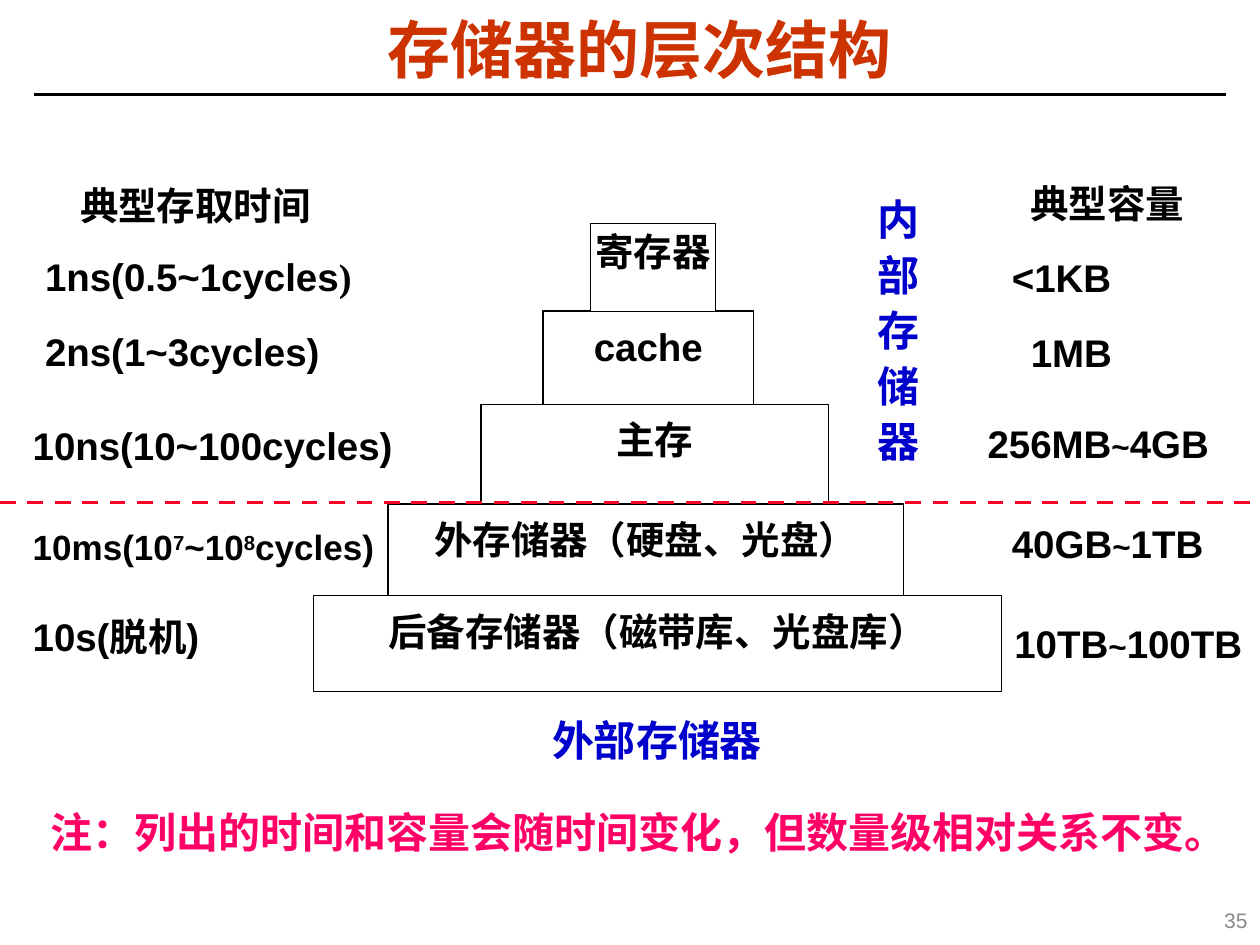
from lxml.etree import SubElement
from pptx import Presentation
from pptx.dml.color import RGBColor
from pptx.enum.dml import MSO_LINE
from pptx.enum.shapes import MSO_CONNECTOR, MSO_SHAPE
from pptx.enum.text import MSO_ANCHOR, PP_ALIGN
from pptx.oxml.ns import qn
from pptx.util import Cm, Pt

BLACK = RGBColor(0x00, 0x00, 0x00)
WHITE = RGBColor(0xFF, 0xFF, 0xFF)
BRICK = RGBColor(0xCC, 0x33, 0x00)
BLUE = RGBColor(0x00, 0x00, 0xCC)
RED = RGBColor(0xFC, 0x01, 0x28)
PINK = RGBColor(0xFF, 0x00, 0x66)
GRAY = RGBColor(0x89, 0x89, 0x89)

SERIF = "Times New Roman"
PAD = (0.33, 0.15)
SIDE = (0.33, 0)
NONE = (0, 0)
ROW = 1.8  # height of a label
TILDE = ("~", {"size": 18})
UP = {"base": 30000}

# left, top, width, height, text, padding
LEVELS = [
    (10.95, 6.27, 4.24, 1.93, "cache", PAD),
    (9.7, 8.15, 7.01, 2.01, "主存", PAD),
    (7.82, 10.16, 10.39, 1.93, "外存储器（硬盘、光盘）", PAD),
    (6.32, 12.01, 13.87, 1.93, "后备存储器（磁带库、光盘库）", PAD),
    (11.91, 4.5, 2.51, 1.78, "寄存器", NONE),
]

# left, top, width, runs, size, padding
LABELS = [
    (20.07, 5.03, 4.24, ["<1KB"], 22, SIDE),
    (20.45, 6.55, 4.24, ["1MB"], 22, SIDE),
    (19.58, 8.38, 5.21, ["256MB", TILDE, "4GB"], 22, SIDE),
    (20.07, 10.39, 5.33, ["40GB", TILDE, "1TB"], 22, SIDE),
    (20.45, 12.4, 4.88, ["10TB", TILDE, "100TB"], 22, NONE),
    (0.58, 5, 7.24, ["1ns(0.5~1cycles", (")", {"name": SERIF})], 22, SIDE),
    (0.58, 6.53, 8.64, ["2ns(1~3cycles)"], 22, SIDE),
    (0.33, 8.41, 8.13, ["10ns(10~100cycles)"], 22, SIDE),
    (0.33, 10.52, 8.51,
     ["10ms(10", ("7", UP), "~10", ("8", UP), "cycles)"], 20, SIDE),
    (0.33, 12.27, 5.26, ["10s(脱机)"], 22, SIDE),
]


def style(font, size, color, bold, name="Arial", base=None):
    font.size, font.bold, font.name = Pt(size), bold, name
    font.color.rgb = color
    if base:
        font._element.set("baseline", str(base))


def write(shape, runs, size=22, color=BLACK, bold=True, name="Arial",
          pad=SIDE, align=PP_ALIGN.CENTER, space=1.1, anchor=MSO_ANCHOR.TOP):
    """Fill a shape with one paragraph; a run is a string or (string, changes)."""
    frame = shape.text_frame
    frame.word_wrap = True
    frame.vertical_anchor = anchor
    frame.margin_left = frame.margin_right = Cm(pad[0])
    frame.margin_top = frame.margin_bottom = Cm(pad[1])
    para = frame.paragraphs[0]
    para.alignment, para.line_spacing = align, space
    look = {"size": size, "color": color, "bold": bold, "name": name}
    if len(runs) == 1:
        para.add_run().text = runs[0]
        style(para.font, **look)
        return
    for item in runs:
        text, change = (item, {}) if isinstance(item, str) else item
        run = para.add_run()
        run.text = text
        style(run.font, **{**look, **change})


def add_text(slide, at, runs, **look):
    write(slide.shapes.add_textbox(*map(Cm, at)), runs, **look)


def add_level(slide, at, text, pad):
    box = slide.shapes.add_shape(MSO_SHAPE.RECTANGLE, *map(Cm, at))
    box.shadow.inherit = False
    box.fill.solid()
    box.fill.fore_color.rgb = WHITE
    box.line.color.rgb = BLACK
    box.line.width = Pt(0.75)
    write(box, [text], pad=pad)


def add_rule(slide, left, right, top, color, width, dash=None):
    rule = slide.shapes.add_connector(
        MSO_CONNECTOR.STRAIGHT, Cm(left), Cm(top), Cm(right), Cm(top))
    rule.line.color.rgb = color
    rule.line.width = Pt(width)
    if dash:
        rule.line.dash_style = dash
    SubElement(rule._element.spPr, qn("a:effectLst"))


def main():
    deck = Presentation()
    deck.slide_width, deck.slide_height = Cm(25.4), Cm(19.05)
    slide = deck.slides.add_slide(deck.slide_layouts[6])

    add_rule(slide, 0.69, 24.71, 1.9, BLACK, 1.5)
    add_text(slide, (0.66, 0.3, 24.46, 1.57), ["存储器的层次结构"], size=36,
             color=BRICK, space=0.87, anchor=MSO_ANCHOR.MIDDLE)

    for *at, text, pad in LEVELS:
        add_level(slide, at, text, pad)
    add_rule(slide, 0, 25.25, 10.13, RED, 2.25, MSO_LINE.DASH)

    for at, text in [((17.2, 3.66, 1.83, 5.99), "内部存储器"),
                     ((10.31, 14.15, 5.87, 2.72), "外部存储器")]:
        add_text(slide, at, [text], size=24, color=BLUE, name=SERIF, pad=PAD)

    add_text(slide, (20.07, 3.53, 4.5, ROW), ["典型容量"])
    add_text(slide, (0.79, 3.58, 6.3, ROW), ["典型存取时间"])
    for left, top, width, runs, size, pad in LABELS:
        add_text(slide, (left, top, width, ROW), runs, size=size, pad=pad,
                 align=PP_ALIGN.JUSTIFY)

    add_text(slide, (1.02, 16.26, 23.57, 1.02),
             ["注：列出的时间和容量会随时间变化，但数量级相对关系不变。"],
             size=24, color=PINK, pad=NONE, align=PP_ALIGN.LEFT, space=1)
    add_text(slide, (19.69, 18.03, 5.71, 1.02), ["35"], size=12, color=GRAY,
             bold=False, pad=(0.25, 0.13), align=PP_ALIGN.RIGHT, space=1,
             anchor=MSO_ANCHOR.MIDDLE)
    deck.save("out.pptx")


if __name__ == "__main__":
    main()
